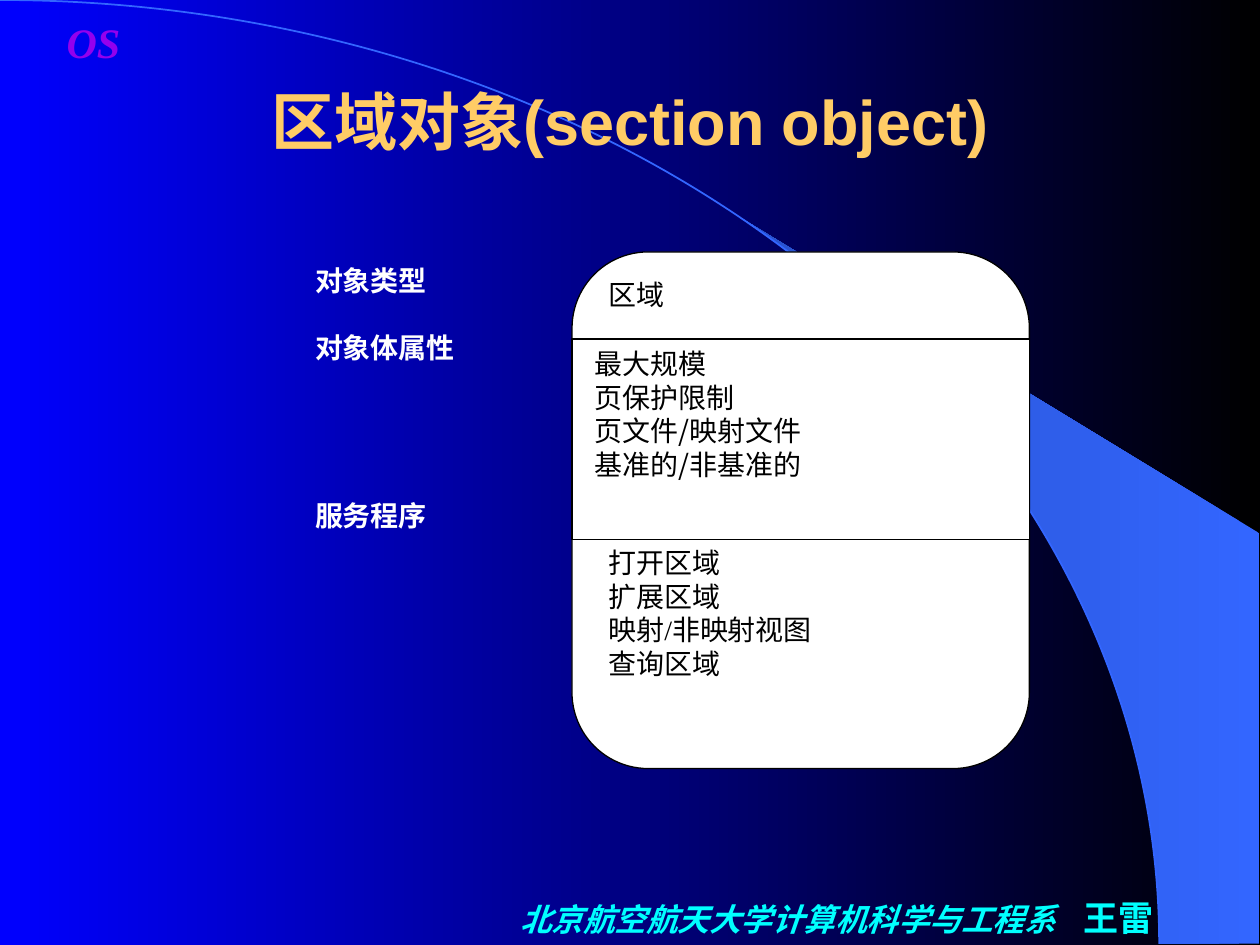
import math

from pptx import Presentation
from pptx.dml.color import RGBColor
from pptx.enum.shapes import MSO_SHAPE
from pptx.enum.text import MSO_ANCHOR, PP_ALIGN
from pptx.oxml.ns import qn
from pptx.util import Inches, Pt

BLACK = RGBColor(0x00, 0x00, 0x00)
BLUE = RGBColor(0x00, 0x00, 0xFF)
WHITE = RGBColor(0xFF, 0xFF, 0xFF)
BAND = RGBColor(0x33, 0x66, 0xFF)
BAND_DARK = RGBColor(0x28, 0x51, 0xCB)
CYAN = RGBColor(0x00, 0xFF, 0xFF)
GOLD = RGBColor(0xFF, 0xCC, 0x66)
VIOLET = RGBColor(0x94, 0x00, 0xED)

ARC = MSO_SHAPE.ARC
RECT = MSO_SHAPE.RECTANGLE
ROUNDED = MSO_SHAPE.ROUNDED_RECTANGLE
TOP, MIDDLE = MSO_ANCHOR.TOP, MSO_ANCHOR.MIDDLE
LEFT, CENTER = PP_ALIGN.LEFT, PP_ALIGN.CENTER

SERIF = "Times New Roman"
SANS = "Arial"
CJK = "Noto Sans CJK SC"
PITCH = 19.2


def add_run(p, text, size=16, color=BLACK, font=SERIF, bold=False, italic=False):
    r = p.add_run()
    r.text = text
    r.font.name = font
    r.font.size = Pt(size)
    r.font.bold = bold
    r.font.italic = italic
    r.font.color.rgb = color
    ea = r.font._element.makeelement(qn("a:ea"), {"typeface": CJK})
    r.font._element.append(ea)
    return r


class Deck:
    def __init__(self, width, height):
        self.prs = Presentation()
        self.prs.slide_width = Inches(width)
        self.prs.slide_height = Inches(height)
        self.s = self.prs.slides.add_slide(self.prs.slide_layouts[6])

    def gradient(self, fill, start, end):
        fill.gradient()
        fill.gradient_angle = 180
        for stop, color in zip(fill.gradient_stops, (start, end)):
            stop.color.rgb = color

    def shape(self, kind, box, fill, line, width=0.75):
        sp = self.s.shapes.add_shape(kind, *map(Inches, box))
        sp.shadow.inherit = False
        if fill is None:
            sp.fill.background()
        else:
            sp.fill.solid()
            sp.fill.fore_color.rgb = fill
        sp.line.color.rgb = line
        sp.line.width = Pt(width)
        return sp

    def polygon(self, points, start, end):
        corners = [(Inches(x), Inches(y)) for x, y in points]
        builder = self.s.shapes.build_freeform(*corners[0])
        builder.add_line_segments(corners[1:], close=True)
        sp = builder.convert_to_shape()
        sp.shadow.inherit = False
        self.gradient(sp.fill, start, end)
        sp.line.fill.background()

    def frame(self, sp, insets, anchor, wrap=True):
        tf = sp.text_frame
        tf.word_wrap = wrap
        tf.vertical_anchor = anchor
        tf.margin_left, tf.margin_top, tf.margin_right, tf.margin_bottom = map(Inches, insets)
        return tf

    def text(self, box, align=LEFT, anchor=TOP, wrap=True, insets=(0.1, 0.05, 0.1, 0.05)):
        sp = self.s.shapes.add_textbox(*map(Inches, box))
        p = self.frame(sp, insets, anchor, wrap).paragraphs[0]
        p.alignment = align
        return p

    def tab_stop(self, p, pos):
        pPr = p._p.get_or_add_pPr()
        tabs = pPr.makeelement(qn("a:tabLst"), {})
        tabs.append(tabs.makeelement(qn("a:tab"), {"pos": str(Inches(pos)), "algn": "l"}))
        pPr.append(tabs)

    def lines(self, sp, lines, insets, gaps=None, **style):
        tf = self.frame(sp, insets, TOP)
        for i, line in enumerate(lines):
            p = tf.paragraphs[0] if i == 0 else tf.add_paragraph()
            p.alignment = LEFT
            p.line_spacing = Pt(PITCH)
            p.space_before = Pt(PITCH * gaps[i] if gaps else 0)
            add_run(p, line, **style)

    def text_lines(self, box, lines, **style):
        sp = self.s.shapes.add_textbox(*map(Inches, box))
        self.lines(sp, lines, **style)


def main():
    deck = Deck(10, 7.5)
    deck.gradient(deck.s.background.fill, BLACK, BLUE)

    rx, ry = 9.2, 7.49
    angles = [math.radians(39.8 + 50.2 * i / 24) for i in range(25)]
    curve = [(rx * math.sin(a), ry * (1 - math.cos(a))) for a in angles]
    deck.polygon(curve + [(9.99, ry), (9.99, 4.23)], BAND, BAND_DARK)
    deck.shape(ARC, (-rx, 0, 2 * rx, 2 * ry), None, BAND, 1)

    p = deck.text((4.03, 7.03, 5.4, 0.5), anchor=MIDDLE)
    deck.tab_stop(p, 4.47)
    add_run(p, "北京航空航天大学计算机科学与工程系\t", size=18, color=CYAN, bold=True, italic=True)
    add_run(p, "王雷", size=20, color=CYAN, bold=True)

    p = deck.text((0.43, 0.08, 0.83, 0.42), wrap=False)
    add_run(p, "OS", size=24, color=VIOLET, bold=True, italic=True)

    p = deck.text((0.75, 0.33, 8.5, 1.25), align=CENTER, anchor=MIDDLE)
    add_run(p, "区域对象(section object)", size=36, color=GOLD, font=SANS, bold=True)

    left, width = 4.54, 3.63
    deck.shape(ROUNDED, (left, 2, width, 4.1), WHITE, BLACK)
    attributes = deck.shape(RECT, (left, 2.69, width, 1.59), WHITE, BLACK)
    deck.lines(attributes, ["最大规模", "页保护限制", "页文件/映射文件", "基准的/非基准的"],
               insets=(0.18, 0.06, 0.1, 0.05), font=CJK)

    inner = (0.29, 0, 0.1, 0)
    deck.text_lines((left, 2.2, width, 0.4), ["区域"], insets=inner)
    deck.text_lines((left, 4.33, width, 1.2),
                    ["打开区域", "扩展区域", "映射/非映射视图", "查询区域"], insets=inner)
    deck.text_lines((2.42, 2, 2.12, 4.1), ["对象类型", "对象体属性", "服务程序"],
                    insets=(0.08, 0.09, 0.1, 0.05), gaps=(0, 1, 4), color=WHITE, bold=True)

    deck.prs.save("out.pptx")


if __name__ == "__main__":
    main()
